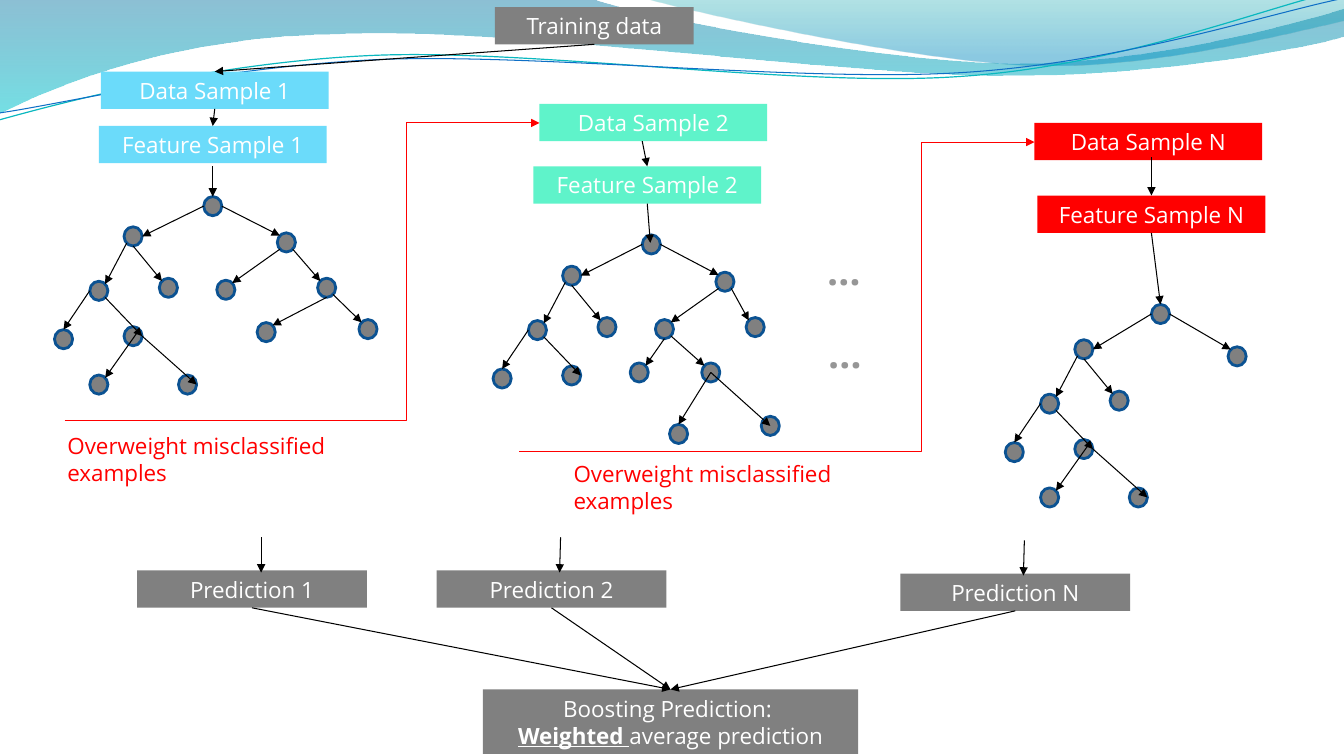
from lxml import etree
from pptx import Presentation
from pptx.dml.color import RGBColor
from pptx.enum.shapes import MSO_CONNECTOR, MSO_SHAPE
from pptx.enum.text import MSO_ANCHOR, PP_ALIGN
from pptx.oxml.ns import qn
from pptx.util import Inches, Pt

STRAIGHT, ELBOW = MSO_CONNECTOR.STRAIGHT, MSO_CONNECTOR.ELBOW
RECTANGLE, OVAL = MSO_SHAPE.RECTANGLE, MSO_SHAPE.OVAL
LEFT, CENTER, MIDDLE = PP_ALIGN.LEFT, PP_ALIGN.CENTER, MSO_ANCHOR.MIDDLE
BLACK, WHITE = RGBColor(0, 0, 0), RGBColor(255, 255, 255)
GRAY, DOT_GRAY = RGBColor(0x80, 0x80, 0x80), RGBColor(0x96, 0x96, 0x96)
SKY, MINT, RED = RGBColor(0x6B, 0xDB, 0xFA), RGBColor(0x5F, 0xF3, 0xCA), RGBColor(255, 0, 0)
NODE_EDGE = RGBColor(0x0B, 0x52, 0x92)
WAVE_BLUE, WAVE_TEAL = RGBColor(0, 0x74, 0xA1), RGBColor(0, 0xC6, 0xCF)
CREST_TEAL, CREST_BLUE = RGBColor(0, 0xA1, 0xA9), RGBColor(0, 0x8B, 0xBF)
LINE_TEAL, LINE_BLUE = RGBColor(0x0A, 0xB8, 0xBF), RGBColor(0x0F, 0x6F, 0xC6)
FONT = "Open Sans"

WAVES = [
    ([(0, 0), (5.87, -0.01),
      (6.34, 0.17, 8.85, 0.63, 10.11, 0.63), (11.38, 0.63, 12.78, 0.26, 13.33, 0.09),
      (13.35, 0.36), (13.11, 0.44, 11.6, 0.76, 9.94, 0.75),
      (8.29, 0.75, 5.09, 0.28, 3.43, 0.34), (1.72, 0.36, 0.61, 0.83, -0.01, 1.13)],
     [(0, WAVE_BLUE, 45), (100, WAVE_TEAL, 55)]),
    ([(6.39, -0.01), (6.79, 0.11, 9.09, 0.62, 10.25, 0.65),
      (11.41, 0.69, 12.82, 0.32, 13.33, 0.21), (13.33, 0)],
     [(0, CREST_TEAL, 30), (80, CREST_BLUE, 45)]),
]
RIPPLES = [
    ([(-0.01, 1.19), (0.64, 1.01, 2.11, 0.62, 3.69, 0.55),
      (5.27, 0.48, 7.9, 0.87, 9.5, 0.76), (11.1, 0.66, 12.52, 0.08, 13.31, -0.1)],
     LINE_TEAL, 0.85),
    ([(0, 1.12), (0.63, 1.03, 2.18, 0.66, 3.78, 0.59),
      (5.37, 0.53, 7.96, 0.82, 9.55, 0.72), (11.15, 0.62, 12.55, 0.14, 13.34, -0.02)],
     LINE_BLUE, 0.75),
]
BOXES = [
    ("Training data", 4.91, 0.07, 1.97, GRAY),
    ("Data Sample 1", 1, 0.71, 2.26, SKY),
    ("Feature Sample 1", 0.98, 1.25, 2.26, SKY),
    ("Data Sample 2", 5.35, 1.03, 2.26, MINT),
    ("Feature Sample 2", 5.29, 1.65, 2.26, MINT),
    ("Data Sample N", 10.26, 1.22, 2.26, RED),
    ("Feature Sample N", 10.29, 1.94, 2.26, RED),
    ("Prediction 1", 1.36, 5.66, 2.28, GRAY),
    ("Prediction 2", 4.33, 5.66, 2.28, GRAY),
    ("Prediction N", 8.93, 5.69, 2.28, GRAY),
]
BOX_HEIGHT = 0.37
VERDICT = "Boosting Prediction"
VERDICT_LINES = [[("Boosting Prediction: ", False)],
                 [("Weighted ", True), ("average prediction", False)]]
NOTES = [
    ("Overweight misclassified examples", 0.57, 4.24, 2.92, 0.64, 16, RED, LEFT),
    ("Overweight misclassified examples", 5.59, 4.52, 2.92, 0.64, 16, RED, LEFT),
    ("…", 7.64, 2.39, 1.46, 0.57, 28, DOT_GRAY, CENTER),
    ("…", 7.65, 3.22, 1.46, 0.57, 28, DOT_GRAY, CENTER),
]
ARROWS = [
    ("Training data", "Data Sample 1"),
    ("Data Sample 1", "Feature Sample 1"),
    ((2.11, 1.65), (2.11, 1.95)),
    ((6.37, 1.4), "Feature Sample 2"),
    ("Feature Sample 2", (6.45, 2.41)),
    ((11.42, 1.56), "Feature Sample N"),
    ("Feature Sample N", (11.51, 3.02)),
    ((2.59, 5.33), (2.59, 5.68)),
    ((5.56, 5.33), (5.55, 5.68)),
    ((10.16, 5.36), (10.15, 5.71)),
    ("Prediction 1", VERDICT),
    ("Prediction 2", VERDICT),
    ("Prediction N", VERDICT),
]
FEEDBACK = [((0.64, 4.17), (5.35, 1.22), 0.72), ((5.15, 4.48), (10.26, 1.41), 0.78)]

NODE_WIDTH, NODE_HEIGHT = 0.18, 0.19
SITES = {"top": (0.5, 0), "left": (0, 0.5), "bottom": (0.5, 1), "right": (1, 0.5),
         "mid": (0.5, 0.5), "top left": (0.15, 0.15), "top right": (0.85, 0.15),
         "bottom left": (0.15, 0.85), "bottom right": (0.85, 0.85)}
BRANCH = {"a": (0, 0), "b": (-0.34, 0.54), "c": (0.35, 0.51), "d": (0, 0.99), "e": (-0.69, 1.02)}
TWIGS = {"f": (-0.34, 1.47), "g": (0.54, 1.47)}
BRANCH_EDGES = [
    ("root", "left", "a", "right"), ("root", "right", "h", "top left"),
    ("a", "bottom left", "b", "top right"), ("a", "bottom", "c", "top left"),
    ("b", "bottom right", "d", "right"), ("b", "left", "e", "top"),
]
TWIG_EDGES = [("d", "top right", "f", "top right"), ("d", "right", "g", "right")]
FORK_EDGES = [("h", "bottom left", "i", "top right"), ("h", "bottom right", "j", "top left")]
TREES = [
    ((1.23, 2.25), BRANCH | TWIGS,
     {"root": (2.02, 1.95), "h": (2.75, 2.31), "i": (2.15, 2.78), "j": (3.15, 2.76),
      "k": (2.55, 3.2), "l": (3.56, 3.17)},
     BRANCH_EDGES + TWIG_EDGES + FORK_EDGES
     + [("j", "bottom", "k", "top right"), ("j", "bottom right", "l", "top left")]),
    ((5.58, 2.64), BRANCH,
     {"root": (6.37, 2.33), "h": (7.1, 2.7), "i": (6.5, 3.17), "j": (7.4, 3.15),
      "k": (6.25, 3.6), "l": (6.96, 3.6), "m": (6.64, 4.21), "n": (7.55, 4.13)},
     BRANCH_EDGES + FORK_EDGES
     + [("i", "bottom", "k", "top right"), ("i", "bottom right", "l", "top left"),
        ("l", "mid", "m", "top"), ("l", "mid", "n", "mid")]),
    ((10.66, 3.37), BRANCH | TWIGS, {"root": (11.42, 3.02), "h": (12.18, 3.44)},
     BRANCH_EDGES + TWIG_EDGES),
]


def add_curve(page, steps, closed):
    points = [(Inches(step[i]), Inches(step[i + 1]))
              for step in steps for i in range(0, len(step), 2)]
    builder = page.shapes.build_freeform(*points[0])
    builder.add_line_segments(points[1:], close=closed)
    curve = builder.convert_to_shape()
    curve.shadow.inherit = False
    segments = iter(curve._element.spPr.findall(".//" + qn("a:lnTo")))
    for step in steps[1:]:
        segment = next(segments)
        if len(step) == 6:
            bend = etree.Element(qn("a:cubicBezTo"))
            segment.addprevious(bend)
            for part in (segment, next(segments), next(segments)):
                bend.append(part[0])
                part.getparent().remove(part)
    return curve


def add_wave(page, steps, stops):
    wave = add_curve(page, steps, True)
    wave.line.fill.background()
    wave.fill.gradient()
    wave.fill.gradient_angle = 270
    marks = wave._element.spPr.findall(".//" + qn("a:gs"))
    for stop, mark, (position, color, opacity) in zip(wave.fill.gradient_stops, marks, stops):
        stop.color.rgb = color
        mark.set("pos", str(position * 1000))
        etree.SubElement(mark[0], qn("a:alpha"), val=str(opacity * 1000))


def add_solid(shapes, kind, left, top, width, height, color):
    shape = shapes.add_shape(kind, *map(Inches, (left, top, width, height)))
    shape.shadow.inherit = False
    shape.fill.solid()
    shape.fill.fore_color.rgb = color
    shape.line.fill.background()
    return shape


def style(para, size, color, align):
    para.alignment = align
    para.font.name, para.font.size, para.font.color.rgb = FONT, Pt(size), color


def add_box(page, lines, left, top, width, height, color):
    box = add_solid(page.shapes, RECTANGLE, left, top, width, height, color)
    frame = box.text_frame
    frame.word_wrap, frame.vertical_anchor = True, MIDDLE
    for index, spans in enumerate(lines):
        para = frame.add_paragraph() if index else frame.paragraphs[0]
        style(para, 16, WHITE, CENTER)
        for text, strong in spans:
            span = para.add_run()
            span.text = text
            if strong:
                span.font.bold = span.font.underline = True
    return box


def add_arrow(shapes, start, end, color=BLACK, kind=STRAIGHT):
    arrow = shapes.add_connector(kind, *map(Inches, (*start, *end)))
    arrow.line.color.rgb, arrow.line.width = color, Pt(0.75)
    etree.SubElement(arrow.line._get_or_add_ln(), qn("a:tailEnd"), type="triangle")
    etree.SubElement(arrow._element.spPr, qn("a:effectLst"))
    return arrow


def add_tree(page, origin, offsets, others, edges):
    nodes = {name: (origin[0] + x, origin[1] + y) for name, (x, y) in offsets.items()} | others
    tree = page.shapes.add_group_shape().shapes
    for left, top in nodes.values():
        node = add_solid(tree, OVAL, left, top, NODE_WIDTH, NODE_HEIGHT, GRAY)
        node.line.color.rgb, node.line.width = NODE_EDGE, Pt(2)

    def anchor(name, site):
        (left, top), (across, down) = nodes[name], SITES[site]
        return left + across * NODE_WIDTH, top + down * NODE_HEIGHT

    for parent, leave, child, arrive in edges:
        add_arrow(tree, anchor(parent, leave), anchor(child, arrive))


def main():
    deck = Presentation()
    deck.slide_width, deck.slide_height = Inches(13.33), Inches(7.5)
    page = deck.slides.add_slide(deck.slide_layouts[6])
    for steps, stops in WAVES:
        add_wave(page, steps, stops)
    for steps, color, width in RIPPLES:
        ripple = add_curve(page, steps, False)
        ripple.fill.background()
        ripple.line.color.rgb, ripple.line.width = color, Pt(width)
    boxes = {text: add_box(page, [[(text, False)]], left, top, width, BOX_HEIGHT, color)
             for text, left, top, width, color in BOXES}
    boxes[VERDICT] = add_box(page, VERDICT_LINES, 4.79, 6.84, 3.72, 0.64, GRAY)
    for tree in TREES:
        add_tree(page, *tree)
    for start, end in ARROWS:
        arrow = add_arrow(page.shapes, (0, 0) if start in boxes else start,
                          (0, 0) if end in boxes else end)
        if start in boxes:
            arrow.begin_connect(boxes[start], 2)
        if end in boxes:
            arrow.end_connect(boxes[end], 0)
    for start, end, bend in FEEDBACK:
        arrow = add_arrow(page.shapes, start, end, RED, ELBOW)
        guides = arrow._element.spPr.find(qn("a:prstGeom")).find(qn("a:avLst"))
        etree.SubElement(guides, qn("a:gd"), name="adj1", fmla=f"val {round(bend * 100000)}")
    for text, left, top, width, height, size, color, align in NOTES:
        note = page.shapes.add_textbox(*map(Inches, (left, top, width, height)))
        note.text_frame.word_wrap = True
        para = note.text_frame.paragraphs[0]
        para.text = text
        style(para, size, color, align)
        para.font.bold = text == "…"
    deck.save("out.pptx")


if __name__ == "__main__":
    main()
